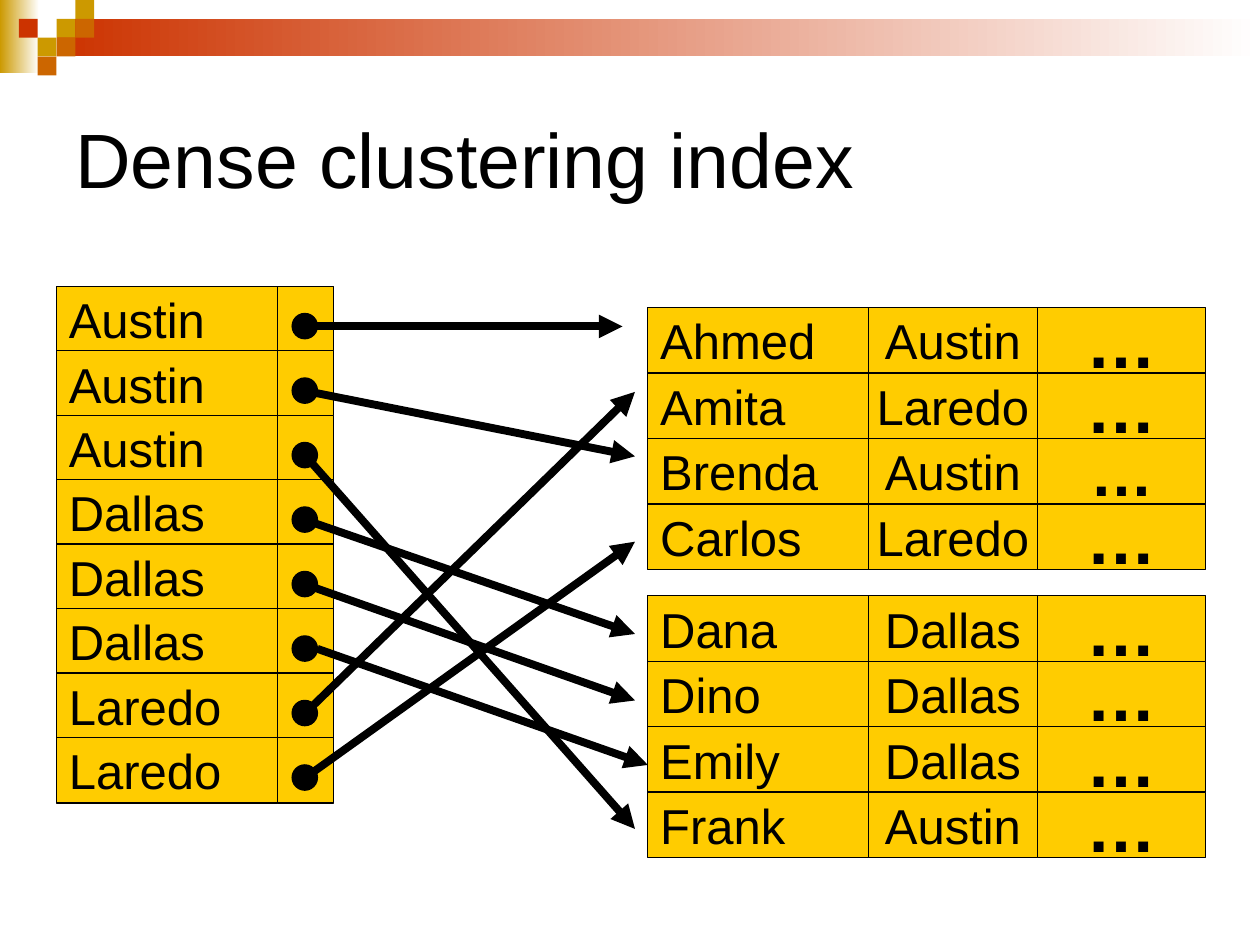
from lxml import etree
from pptx import Presentation
from pptx import util as u
from pptx.dml.color import RGBColor
from pptx.enum import shapes, text
from pptx.oxml.ns import qn

C = {"black": "000000", "white": "FFFFFF", "yellow": "FFCC00",
     "gold": "CC9900", "orange": "CC6600", "red": "CC3300"}
RECT, OVAL = shapes.MSO_SHAPE.RECTANGLE, shapes.MSO_SHAPE.OVAL
LEFT, CENTER = text.PP_ALIGN.LEFT, text.PP_ALIGN.CENTER

prs = Presentation()
prs.slide_width, prs.slide_height = u.Cm(25.4), u.Cm(19.05)
s = prs.slides.add_slide(prs.slide_layouts[6])


def add_box(x, y, w, h, fill, fade=False, outline=False, kind=RECT):
    sp = s.shapes.add_shape(kind, u.Cm(x), u.Cm(y), u.Cm(w), u.Cm(h))
    sp.shadow.inherit = False
    if fade:
        sp.fill.gradient()
        sp.fill.gradient_angle = 0
        for stop, name in zip(sp.fill.gradient_stops, (fill, "white")):
            stop.color.rgb = RGBColor.from_string(C[name])
    else:
        sp.fill.solid()
        sp.fill.fore_color.rgb = RGBColor.from_string(C[fill])
    if outline:
        sp.line.color.rgb = RGBColor.from_string(C["black"])
        sp.line.width = u.Pt(0.75)
    else:
        sp.line.fill.background()
    return sp


def write(sp, words, size, align=LEFT, bold=False):
    tf = sp.text_frame
    tf.word_wrap = False
    tf.vertical_anchor = text.MSO_ANCHOR.MIDDLE
    p = tf.paragraphs[0]
    p.text = words
    p.alignment = align
    p.font.name, p.font.size, p.font.bold = "Arial", u.Pt(size), bold
    p.font.color.rgb = RGBColor.from_string(C["black"])


# Header band and its squares, placed by column and row
add_box(0, 0, 0.79, 1.47, "gold", fade=True)
add_box(1.14, 0.38, 24.26, 0.76, "red", fade=True)
SQUARE = 0.38
for col, row, color in [(3, 1, "gold"), (4, 0, "gold"), (4, 1, "orange"),
                        (2, 2, "gold"), (1, 1, "red"), (3, 2, "orange"),
                        (2, 3, "orange")]:
    add_box(col * SQUARE, row * SQUARE, SQUARE, SQUARE, color)

# Title
title = s.shapes.add_textbox(u.Cm(1.27), u.Cm(1.27), u.Cm(22.86), u.Cm(3.81))
write(title, "Dense clustering index", 44)
title.text_frame.word_wrap = True

# Index: key, pointer cell and dot
INDEX_TOP, INDEX_STEP, CELL_H = 5.77, 1.3, 1.32
keys = ["Austin"] * 3 + ["Dallas"] * 3 + ["Laredo"] * 2
for i, key in enumerate(keys):
    y = INDEX_TOP + i * INDEX_STEP
    write(add_box(1.14, y, 4.45, CELL_H, "yellow", outline=True), key, 28)
    add_box(5.59, y, 1.14, CELL_H, "yellow", outline=True)
    add_box(5.89, y + 0.55, 0.51, 0.51, "black", outline=True, kind=OVAL)

# Two blocks of records
blocks = [
    (6.2, [("Ahmed", "Austin"), ("Amita", "Laredo"),
           ("Brenda", "Austin"), ("Carlos", "Laredo")]),
    (12.01, [("Dana", "Dallas"), ("Dino", "Dallas"),
             ("Emily", "Dallas"), ("Frank", "Austin")]),
]
for top, records in blocks:
    for i, (name, city) in enumerate(records):
        dots_size = 36 if name == "Brenda" else 40
        for x, w, words, size, align, bold in [
                (13.06, 4.45, name, 28, LEFT, False),
                (17.51, 3.4, city, 28, CENTER, False),
                (20.91, 3.4, "…", dots_size, CENTER, True)]:
            sp = add_box(x, top + i * CELL_H, w, CELL_H, "yellow", outline=True)
            write(sp, words, size, align, bold)

# Pointers, one per index row: start x, end x, end y
pointers = [(6.15, 12.55, 6.58), (6.15, 12.8, 9.2), (6.15, 12.8, 16.71),
            (6.15, 12.8, 12.78), (6.15, 12.8, 14.12), (6.4, 13.06, 15.42),
            (6.15, 12.8, 7.9), (6.15, 12.8, 10.92)]
for i, (x1, x2, y2) in enumerate(pointers):
    y1 = INDEX_TOP + i * INDEX_STEP + 0.81
    cn = s.shapes.add_connector(shapes.MSO_CONNECTOR.STRAIGHT,
                                u.Cm(x1), u.Cm(y1), u.Cm(x2), u.Cm(y2))
    cn.line.color.rgb = RGBColor.from_string(C["black"])
    cn.line.width = u.Pt(4.5)
    etree.SubElement(cn.line._get_or_add_ln(), qn("a:tailEnd"), type="triangle")
    etree.SubElement(cn._element.spPr, qn("a:effectLst"))

prs.save("out.pptx")
